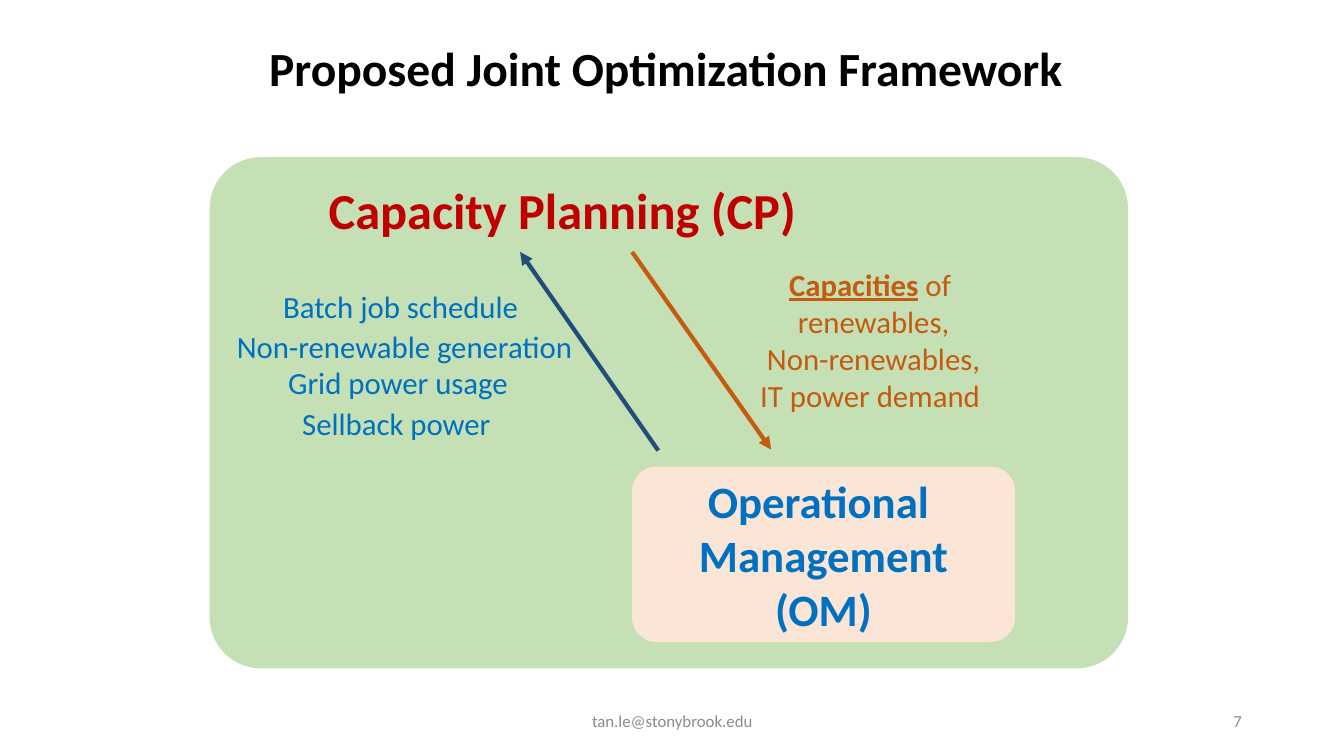
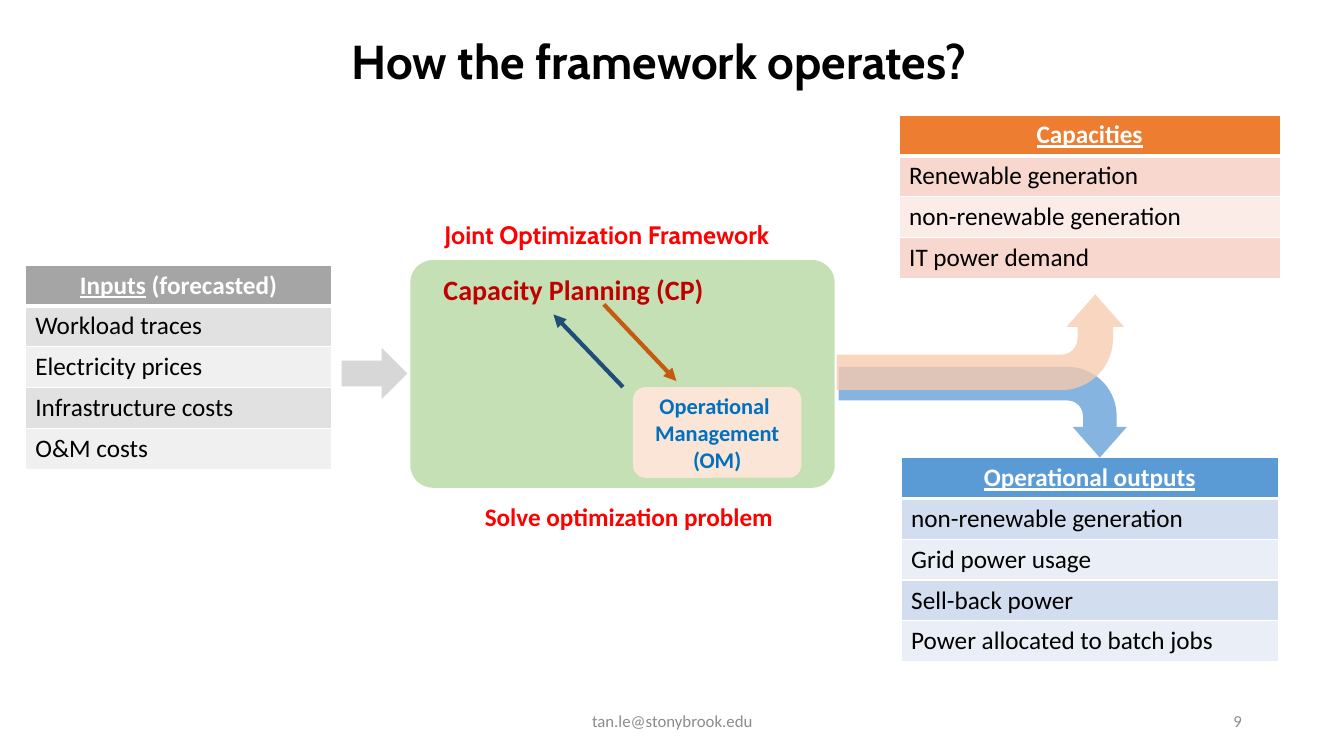
from dataclasses import dataclass

from lxml import etree
from pptx import Presentation
from pptx.dml.color import RGBColor
from pptx.enum.shapes import MSO_CONNECTOR, MSO_SHAPE
from pptx.enum.text import MSO_ANCHOR, MSO_AUTO_SIZE, PP_ALIGN
from pptx.oxml.ns import qn
from pptx.util import Inches, Pt

LEFT, MID, RIGHT = PP_ALIGN.LEFT, PP_ALIGN.CENTER, PP_ALIGN.RIGHT
TOP, CORE = MSO_ANCHOR.TOP, MSO_ANCHOR.MIDDLE
ROUND, DOWN, BENT = MSO_SHAPE.ROUNDED_RECTANGLE, MSO_SHAPE.DOWN_ARROW, MSO_SHAPE.BENT_ARROW
LINE = MSO_CONNECTOR.STRAIGHT
FIXED = MSO_AUTO_SIZE.NONE


@dataclass(frozen=True)
class Theme:
    font: str = "Calibri"
    accent: str = "Cabin"
    black: str = "000000"
    white: str = "FFFFFF"
    muted: str = "8C8C8C"
    green: str = "C5E0B4"
    peach: str = "FBE5D6"
    dark_red: str = "C00000"
    red: str = "FF0000"
    blue: str = "0070C0"
    navy: str = "1F4E79"
    rust: str = "C55A11"
    silver: str = "D0CECE"
    sky: str = "5B9BD5"
    apricot: str = "F8CBAD"
    # header, odd row, even row
    grays: tuple = ("A5A5A5", "E1E1E1", "F0F0F0")
    warms: tuple = ("ED7D31", "F8D7CE", "FCECE8")
    cools: tuple = ("5B9BD5", "D2DEEF", "EAEFF7")
    title: int = 34
    label: int = 22
    body: int = 18
    small: int = 12
    stroke: int = 3
    row: float = 5.4


class Deck:
    """Places elements; every length is a percentage of the slide's size."""

    def __init__(self, theme):
        self.theme = theme
        self.prs = Presentation()
        self.prs.slide_width, self.prs.slide_height = Inches(13.33), Inches(7.5)
        self.slide = None

    def x(self, share):
        return round(self.prs.slide_width * share / 100)

    def y(self, share):
        return round(self.prs.slide_height * share / 100)

    def box(self, area):
        left, top, width, height = area
        return self.x(left), self.y(top), self.x(width), self.y(height)

    def put(self, frame, lines, size, color, align=LEFT, anchor=TOP, bold=False, font=None):
        """Fill a frame; a line is a text or a list of (text, bold, underline)."""
        frame.word_wrap = True
        frame.vertical_anchor = anchor
        for i, line in enumerate(lines):
            par = frame.add_paragraph() if i else frame.paragraphs[0]
            par.alignment = align
            par.font.name = font or self.theme.font
            par.font.size = Pt(size)
            par.font.bold = bold
            par.font.color.rgb = RGBColor.from_string(color)
            parts = [(line, None, None)] if isinstance(line, str) else line
            for text, heavy, under in parts:
                for j, bit in enumerate(text.split("\n")):
                    if j:
                        par.add_line_break()
                    run = par.add_run()
                    run.text = bit
                    run.font.bold, run.font.underline = heavy, under

    def page(self, title, area, number, align=MID, font=None):
        self.slide = self.prs.slides.add_slide(self.prs.slide_layouts[5])
        head = self.slide.shapes.title
        head.left, head.top, head.width, head.height = self.box(area)
        theme = self.theme
        self.put(head.text_frame, [title], theme.title, theme.black, align, CORE, True, font)
        head.text_frame.auto_size = FIXED
        head.text_frame.paragraphs[0].line_spacing = 0.9
        for text, left, width, side in (("tan.le@stonybrook.edu", 33.15, 33.75, MID),
                                        (str(number), 70.65, 22.5, RIGHT)):
            self.text([text], (left, 92.67, width, 5.33), theme.small, theme.muted, side, CORE)

    def text(self, lines, area, size, color, *style, **more):
        frame = self.slide.shapes.add_textbox(*self.box(area)).text_frame
        self.put(frame, lines, size, color, *style, **more)

    def shape(self, kind, area, color, adjust=(), turn=0, alpha=None, flip=False):
        item = self.slide.shapes.add_shape(kind, *self.box(area))
        item.shadow.inherit = False
        item.line.fill.background()
        item.fill.solid()
        item.fill.fore_color.rgb = RGBColor.from_string(color)
        item.rotation = turn
        for i, value in enumerate(adjust):
            item.adjustments[i] = value
        props = item._element.spPr
        if alpha:
            tint = props.find(qn("a:solidFill")).find(qn("a:srgbClr"))
            etree.SubElement(tint, qn("a:alpha")).set("val", str(alpha * 1000))
        if flip:
            props.find(qn("a:xfrm")).set("flipH", "1")
        return item

    def arrow(self, ends, color):
        x1, y1, x2, y2 = ends
        item = self.slide.shapes.add_connector(
            LINE, self.x(x1), self.y(y1), self.x(x2), self.y(y2))
        item.line.width = Pt(self.theme.stroke)
        item.line.color.rgb = RGBColor.from_string(color)
        props = item._element.spPr
        etree.SubElement(props.find(qn("a:ln")), qn("a:tailEnd")).set("type", "triangle")
        etree.SubElement(props, qn("a:effectLst"))

    def edge(self, cell, side, width):
        line = etree.SubElement(cell._tc.get_or_add_tcPr(), qn("a:ln" + side))
        line.set("w", str(Pt(width)))
        fill = etree.SubElement(line, qn("a:solidFill"))
        etree.SubElement(fill, qn("a:srgbClr")).set("val", self.theme.white)

    def table(self, head, rows, place, tones):
        """One column; head is a list of parts, tones colour head, odd and even rows."""
        theme = self.theme
        left, top, width = place
        lines = [head, *rows]
        area = (left, top, width, theme.row * len(lines))
        grid = self.slide.shapes.add_table(len(lines), 1, *self.box(area)).table
        grid.horz_banding = False
        for i, line in enumerate(lines):
            grid.rows[i].height = self.y(theme.row)
            cell = grid.cell(i, 0)
            for side in "LRTB":
                thick = (i == 0 and side == "B") or (i == 1 and side == "T")
                self.edge(cell, side, 3 if thick else 1)
            cell.fill.solid()
            tone = tones[2 - i % 2] if i else tones[0]
            cell.fill.fore_color.rgb = RGBColor.from_string(tone)
            color, align = (theme.black, LEFT) if i else (theme.white, MID)
            self.put(cell.text_frame, [line], theme.body, color, align, bold=i == 0)

    def model(self, panel, plan, manage, down, up, sizes):
        """The planning panel with its management box and the two arrows between."""
        theme = self.theme
        self.shape(ROUND, panel, theme.green, [0.1])
        self.text(["Capacity Planning (CP)"], plan, sizes[0], theme.dark_red, MID, bold=True)
        inner = self.shape(ROUND, manage, theme.peach, [0.14])
        self.put(inner.text_frame, ["Operational ", "Management", "(OM)"],
                 sizes[1], theme.blue, MID, CORE, True)
        self.arrow(down, theme.rust)
        self.arrow(up, theme.navy)


def joint(deck):
    theme = deck.theme
    deck.page("Proposed Joint Optimization Framework", (19.28, 4.93, 63.15, 8.93), 7, LEFT)
    deck.model(panel=(15.6, 20.8, 68.33, 67.6), plan=(15.6, 23.07, 52.5, 9.47),
               manage=(47.03, 61.73, 28.5, 23.2), down=(47.03, 33.33, 57.38, 59.47),
               up=(48.98, 59.6, 38.7, 33.33), sizes=(36, 32))
    deck.text([[("Capacities", True, True), (" of \nrenewables,", None, None)],
               "Non-renewables,\nIT power demand "],
              (54.53, 34.53, 20.93, 21.07), theme.label, theme.rust, MID)
    for text, left, top in (("Batch job schedule", 20.33, 37.47),
                            ("Non-renewable generation", 16.88, 42.67),
                            ("Grid power usage", 20.7, 47.47),
                            ("Sellback power", 21.75, 52.93)):
        deck.text([text], (left, top, 26.55, 6.27), theme.label, theme.blue)


def flow(deck):
    theme = deck.theme
    deck.page("How the framework operates?", (11.85, 1.87, 74.4, 13.33), 9, font=theme.accent)
    deck.table([("Inputs", None, True), (" (forecasted)", None, None)],
               ["Workload traces", "Electricity prices", "Infrastructure costs", "O&M costs"],
               (1.88, 35.07, 22.8), theme.grays)
    deck.table([("Capacities", None, True)],
               ["Renewable generation", "non-renewable generation", "IT power demand"],
               (66.9, 15.2, 28.35), theme.warms)
    deck.table([("Operational outputs", None, True)],
               ["non-renewable generation", "Grid power usage", "Sell-back power",
                "Power allocated to batch jobs"],
               (67.05, 60.53, 28.05), theme.cools)
    deck.shape(DOWN, (25.95, 45.07, 3.83, 8.67), theme.silver, turn=270, alpha=81)
    bend = (0.37, 0.3, 0.34, 0.54)
    deck.shape(BENT, (69.75, 35.47, 6.75, 38.13), theme.sky, bend, 90, 75)
    deck.shape(BENT, (69.38, 26.27, 7.13, 38), theme.apricot, bend, 90, 78, flip=True)
    deck.model(panel=(30.53, 34.4, 31.58, 30.13), plan=(30.53, 35.33, 24.3, 5.87),
               manage=(47.1, 51.2, 12.53, 12), down=(44.93, 40.27, 50.33, 50.4),
               up=(46.35, 51.2, 41.18, 41.6), sizes=(20, 16))
    deck.text(["Joint Optimization Framework"], (32.33, 28.4, 28.65, 5.33),
              theme.body, theme.red, bold=True, font=theme.accent)
    deck.text(["Solve optimization problem"], (35.33, 65.6, 23.1, 5.33),
              theme.body, theme.red, bold=True)


def main():
    deck = Deck(Theme())
    joint(deck)
    flow(deck)
    deck.prs.save("out.pptx")


if __name__ == "__main__":
    main()
